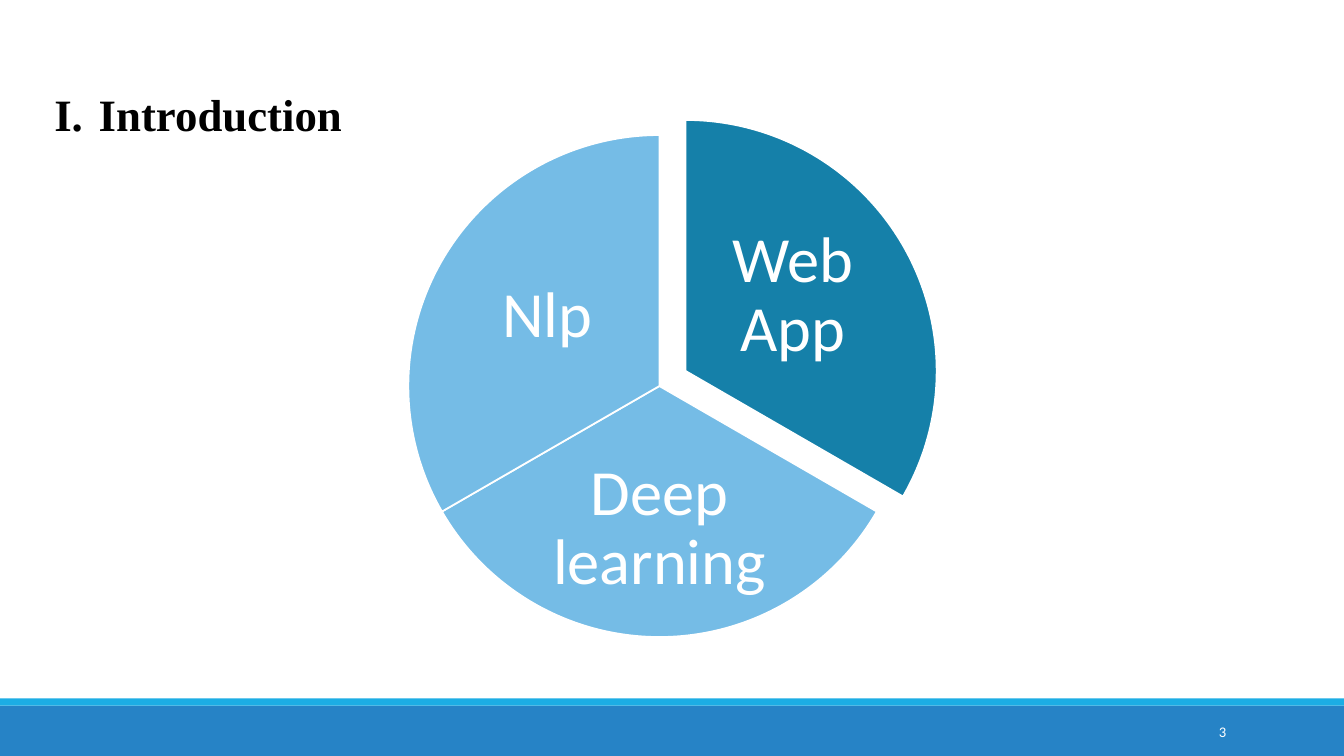
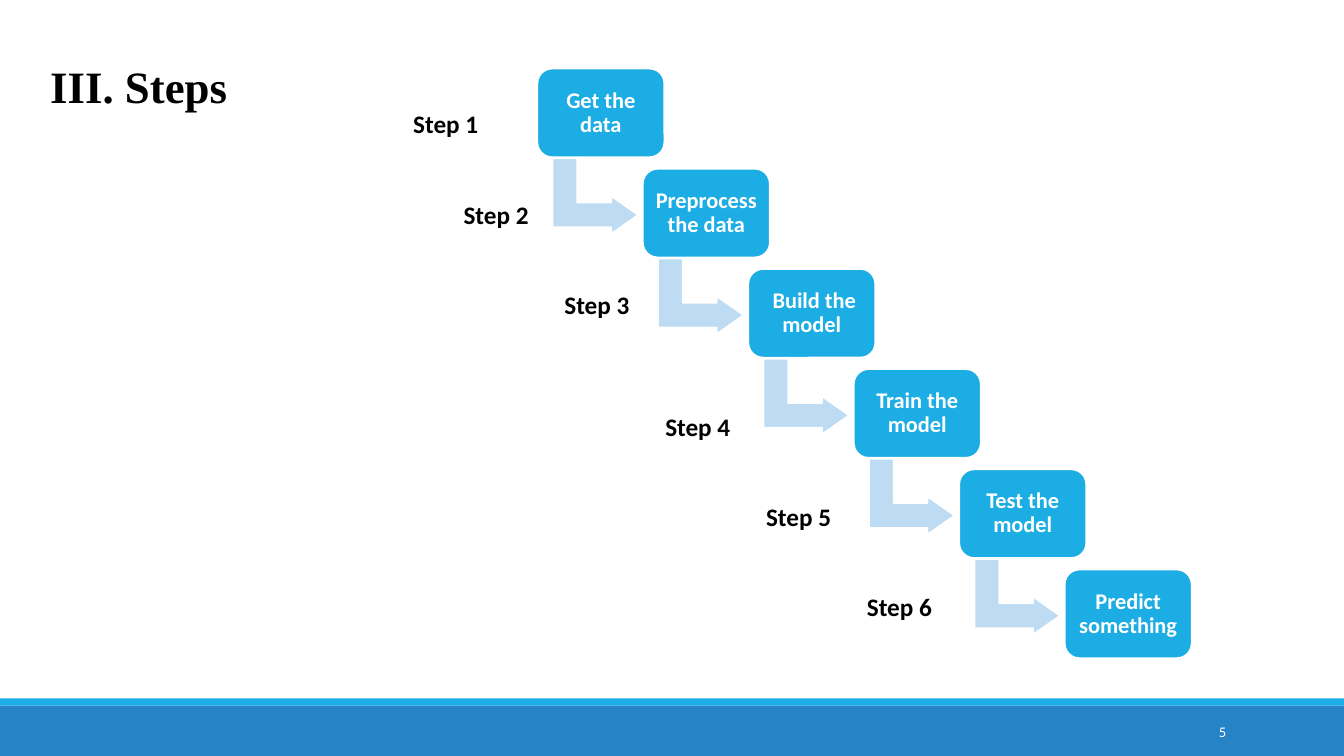
import math
from dataclasses import dataclass

from lxml import etree
from pptx import Presentation
from pptx import util as u
from pptx.dml.color import RGBColor
from pptx.enum import shapes, text
from pptx.oxml import ns

Inches = u.Inches
KIND = shapes.MSO_SHAPE


@dataclass(frozen=True)
class Theme:
    band: str = "2683C6"
    accent: str = "1CADE4"
    wedge: str = "75BCE6"
    wedge_focus: str = "1580A9"
    arrow: str = "BDDBF2"
    white: str = "FFFFFF"
    black: str = "000000"
    title_font: str = "Times New Roman"
    body_font: str = "Calibri"
    title_size: float = 32
    wedge_size: float = 46
    label_size: float = 18
    step_size: float = 16
    number_size: float = 10.5
    outline: float = 1.25


T = Theme()
WIDTH, HEIGHT = 13.33, 7.5


# Shared helpers
def style(p, size, color, font=T.body_font, bold=False, align=None, spacing=None):
    p.alignment = align
    p.line_spacing = spacing
    for r in p.runs:
        r.font.name, r.font.size, r.font.bold = font, u.Pt(size), bold
        r.font.color.rgb = RGBColor.from_string(color)


def add_shape(s, kind, box, fill, outlined=True, adjust=()):
    sp = s.shapes.add_shape(kind, *map(Inches, box))
    sp.shadow.inherit = False
    sp.fill.solid()
    sp.fill.fore_color.rgb = RGBColor.from_string(fill)
    if outlined:
        sp.line.color.rgb = RGBColor.from_string(T.white)
        sp.line.width = u.Pt(T.outline)
    else:
        sp.line.fill.background()
    for i, value in enumerate(adjust):
        sp.adjustments[i] = value
    return sp


def add_text(s, box, words, wrap=True):
    tf = s.shapes.add_textbox(*map(Inches, box)).text_frame
    tf.word_wrap = wrap
    tf.text = words
    return tf


def center_text(tf, size, inset, bold=False):
    tf.word_wrap = True
    tf.vertical_anchor = text.MSO_ANCHOR.MIDDLE
    tf.margin_left = tf.margin_right = tf.margin_top = tf.margin_bottom = Inches(inset)
    style(tf.paragraphs[0], size, T.white, bold=bold,
          align=text.PP_ALIGN.CENTER, spacing=0.9)


def add_base(prs, number):
    s = prs.slides.add_slide(prs.slide_layouts[6])
    add_shape(s, KIND.RECTANGLE, (0, 7, WIDTH, 0.5), T.band, outlined=False)
    add_shape(s, KIND.RECTANGLE, (0, 6.93, WIDTH, 0.07), T.accent, outlined=False)
    tf = add_text(s, (10.83, 7.06, 1.43, 0.4), str(number))
    tf.vertical_anchor = text.MSO_ANCHOR.MIDDLE
    style(tf.paragraphs[0], T.number_size, T.white, align=text.PP_ALIGN.RIGHT)
    return s


def add_title(s, box, words, numbering=None):
    tf = add_text(s, box, words, wrap=False)
    tf.auto_size = text.MSO_AUTO_SIZE.SHAPE_TO_FIT_TEXT
    p = tf.paragraphs[0]
    style(p, T.title_size, T.black, T.title_font, bold=True, spacing=2.0)
    if numbering:
        indent = Inches(0.44)
        pPr = p._p.get_or_add_pPr()
        pPr.set("marL", str(indent))
        pPr.set("indent", str(-indent))
        font = etree.SubElement(pPr, ns.qn("a:buFont"))
        font.set("typeface", "+mj-lt")
        etree.SubElement(pPr, ns.qn("a:buAutoNum")).set("type", numbering)


# Pie of topics: three equal wedges, one pulled out along its middle
def add_topics(s, left, top, size):
    third, pull = 120, 0.3
    # words, fill, start angle, pull, label centre from wedge centre, label size
    wedges = (
        ("Web App", T.wedge_focus, 270, pull, (1.06, -0.74), (1.69, 1.66)),
        ("Deep learning", T.wedge, 30, 0, (0, 1.42), (2.25, 1.54)),
        ("Nlp", T.wedge, 150, 0, (-1.11, -0.69), (1.69, 1.66)),
    )
    for words, fill, start, out, (dx, dy), (w, h) in wedges:
        middle = math.radians(start + third / 2)
        x, y = left + out * math.cos(middle), top + out * math.sin(middle)
        # Adjustments count 0.6 per degree
        angles = (start * 0.6, (start + third) % 360 * 0.6)
        add_shape(s, KIND.PIE, (x, y, size, size), fill, adjust=angles)
        label = (x + size / 2 + dx - w / 2, y + size / 2 + dy - h / 2, w, h)
        center_text(add_text(s, label, words), T.wedge_size, 0.06)


# Labels of the steps: one text box, indented line by line
def add_step_labels(s, box, count):
    tf = add_text(s, box, "\n".join(f"Step {i + 1}" for i in range(count)))
    for i, p in enumerate(tf.paragraphs):
        style(p, T.label_size, T.black, bold=True)
        p._p.get_or_add_pPr().set("marL", str(Inches(max(i, 0.5))))
        if i:
            p.space_before = u.Pt(65 if i == 3 else 43)


# Staircase of steps: boxes joined by bent arrows
def add_staircase(s, left, top, width, height, steps):
    w, h = 1.26, 0.88
    gaps = len(steps) - 1
    for i, words in enumerate(steps):
        x, y = left + i * (width - w) / gaps, top + i * (height - h) / gaps
        if i < gaps:
            arrow = add_shape(s, KIND.BENT_UP_ARROW, (x + 0.2, y + 0.84, 0.75, 0.85),
                              T.arrow, adjust=(0.328, 0.25, 0.358))
            arrow.rotation = 90
        sp = add_shape(s, KIND.ROUNDED_RECTANGLE, (x, y, w, h), T.accent,
                       adjust=(0.167,))
        sp.text_frame.text = words
        center_text(sp.text_frame, T.step_size, 0.07, bold=True)


# Slides
def introduction(prs):
    s = add_base(prs, 3)
    add_title(s, (0.44, 0.28, 3.08, 1.01), "Introduction", "romanUcPeriod")
    add_topics(s, 4.05, 1.34, 4.98)


def process(prs):
    steps = ("Get the data", "Preprocess the data", " Build the model",
             "Train the model", "Test the model", "Predict something")
    s = add_base(prs, 5)
    add_step_labels(s, (3.5, 1.03, 9.83, 5.25), len(steps))
    add_title(s, (0.4, 0, 1.97, 1.18), "III. Steps")
    add_staircase(s, 5.33, 0.68, 6.49, 5.85, steps)


prs = Presentation()
prs.slide_width, prs.slide_height = Inches(WIDTH), Inches(HEIGHT)
introduction(prs)
process(prs)
prs.save("out.pptx")
